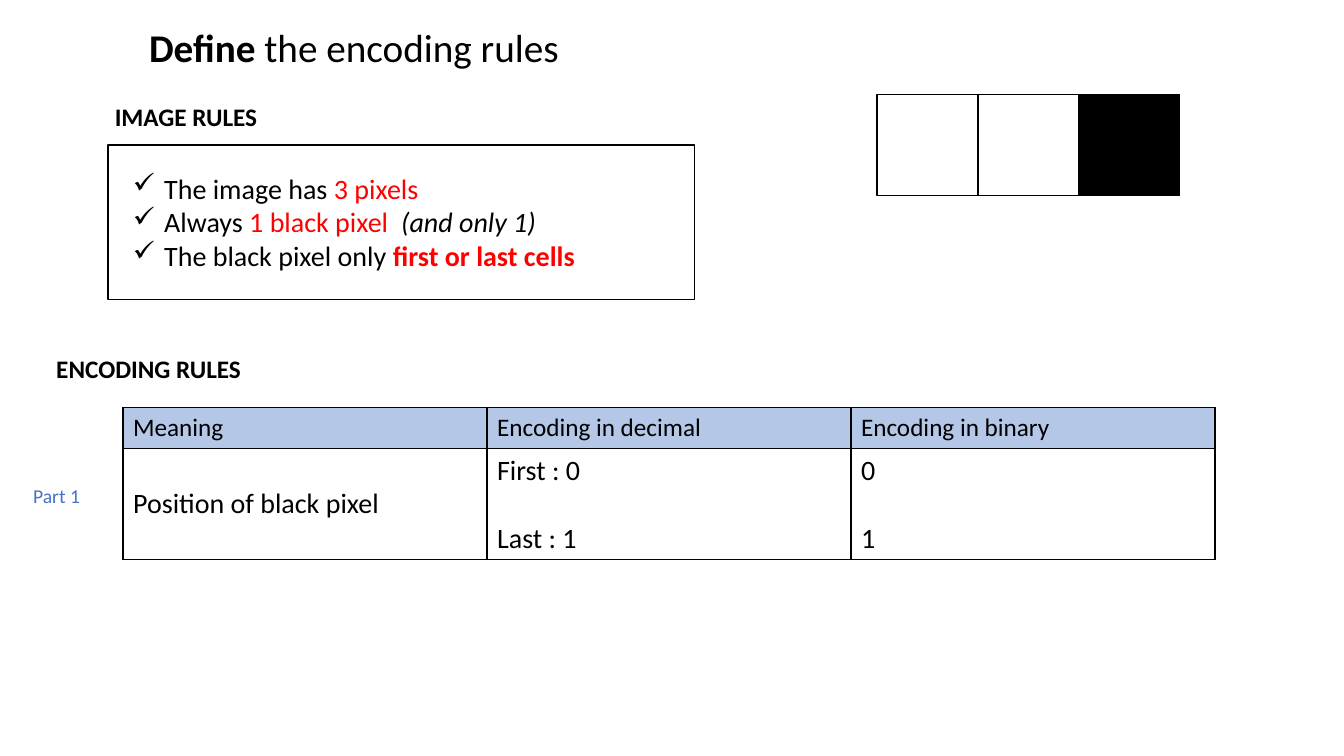
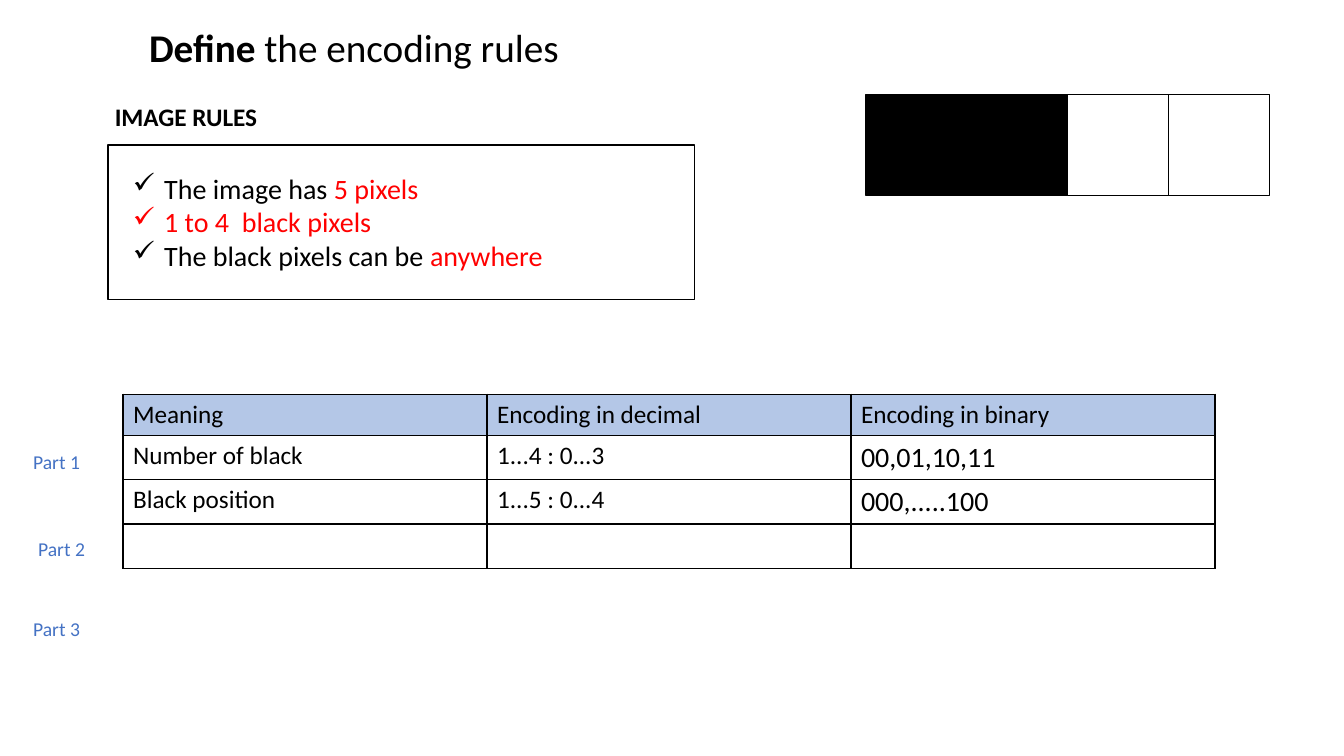
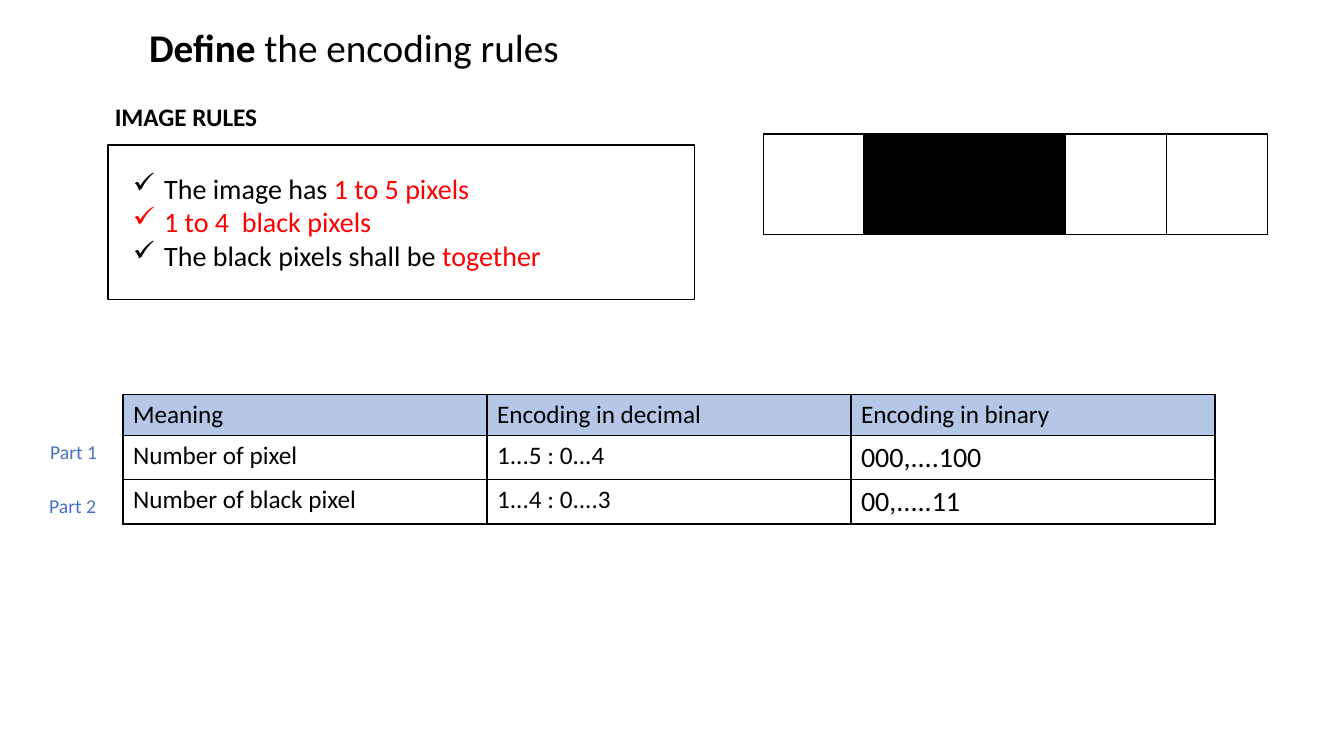
from lxml import etree
from pptx import Presentation
from pptx.dml.color import RGBColor
from pptx.enum import shapes, text
from pptx.oxml.ns import qn
from pptx.util import Inches, Pt


class Theme:
    font = "Calibri"
    black = RGBColor.from_string("000000")
    white = RGBColor.from_string("FFFFFF")
    red = RGBColor.from_string("FF0000")
    blue = RGBColor.from_string("4472C4")
    header_fill = RGBColor.from_string("B4C7E7")
    title_size = 28
    rule_size = 20
    heading_size = 18
    label_size = 14
    line_width = Pt(1)


def write_text(frame, lines, size, color=Theme.black, bold=False, wrap=True, bullet=None, gap=0):
    """Fill a text frame; a line is a string or a list of (text, format) runs."""
    frame.word_wrap = wrap
    for index, line in enumerate(lines):
        paragraph = frame.add_paragraph() if index else frame.paragraphs[0]
        paragraph.space_before = Pt(gap if index else 0)
        if bullet:
            properties = paragraph._p.get_or_add_pPr()
            properties.set("marL", str(Inches(0.31)))
            properties.set("indent", str(-Inches(0.31)))
            etree.SubElement(properties, qn("a:buChar"), char=bullet)
        for words, style in [(line, {})] if isinstance(line, str) else line:
            run = paragraph.add_run()
            run.text = words
            run.font.name = Theme.font
            run.font.size = Pt(size)
            run.font.bold = style.get("bold", bold)
            run.font.italic = style.get("italic", False)
            run.font.color.rgb = style.get("color", color)


def add_box(slide, left, top, width, height, fill=None):
    """Add an outlined rectangle, filled when a colour is given."""
    shape = slide.shapes.add_shape(shapes.MSO_SHAPE.RECTANGLE, Inches(left), Inches(top),
                                   Inches(width), Inches(height))
    shape.shadow.inherit = False
    shape.line.color.rgb = Theme.black
    shape.line.width = Theme.line_width
    if fill is None:
        shape.fill.background()
    else:
        shape.fill.solid()
        shape.fill.fore_color.rgb = fill


# Content of each slide; in "pixels", 1 is black and 0 is white
plain, red = {}, {"color": Theme.red}
header = ["Meaning", "Encoding in decimal", "Encoding in binary"]
pages = [
    {
        "rules": [
            [("The image has ", plain), ("3 pixels", red)],
            [("Always ", plain), ("1 black pixel  ", red), ("(and only 1)", {"italic": True})],
            [("The black pixel only ", plain),
             ("first or last cells", {"color": Theme.red, "bold": True})],
        ],
        "pixels": [0, 0, 1], "pixel_origin": (8.7, 0.94),
        "rows": [["Position of black pixel", "First : 0\nLast : 1", "0\n1"]],
        "table_top": 4.04, "row_height": 1.1, "cell_sizes": (20, 20, 20),
        "parts": [(0.23, 4.75)],
        "headings": [("IMAGE RULES", 1.04, 0.96, 1.63), ("ENCODING RULES", 0.46, 3.46, 2.06)],
    },
    {
        "rules": [
            [("The image has ", plain), ("5 pixels", red)],
            [("1 to 4  black pixels", red)],
            [("The black pixels can be ", plain), ("anywhere", red)],
        ],
        "pixels": [1, 1, 0, 0], "pixel_origin": (8.59, 0.94),
        "rows": [
            ["Number of black", "1...4 : 0...3", "00,01,10,11"],
            ["Black position", "1...5 : 0...4", "000,.....100"],
            ["", "", ""],
        ],
        "table_top": 3.91, "row_height": 0.44, "cell_sizes": (18, 18, 20),
        "parts": [(0.23, 4.41), (0.28, 5.28), (0.23, 6.07)],
        "headings": [("IMAGE RULES", 1.04, 0.96, 1.63)],
    },
    {
        "rules": [
            [("The image has ", plain), ("1 to 5 pixels", red)],
            [("1 to 4  black pixels", red)],
            [("The black pixels shall be ", plain), ("together", red)],
        ],
        "pixels": [0, 1, 1, 0, 0], "pixel_origin": (7.57, 1.33),
        "rows": [
            ["Number of pixel", "1...5 : 0...4", "000,....100"],
            ["Number of black pixel", "1...4 : 0....3", "00,.....11"],
        ],
        "table_top": 3.91, "row_height": 0.44, "cell_sizes": (18, 18, 20),
        "parts": [(0.4, 4.32), (0.39, 4.85)],
        "headings": [("IMAGE RULES", 1.04, 0.96, 1.63)],
    },
]

presentation = Presentation()
presentation.slide_width = Inches(13.33)
presentation.slide_height = Inches(7.5)

for page in pages:
    slide = presentation.slides.add_slide(presentation.slide_layouts[6])

    # Title
    title = slide.shapes.add_textbox(Inches(1.38), Inches(0.18), Inches(4.5), Inches(0.57))
    write_text(title.text_frame, [[("Define", {"bold": True}), (" the encoding rules", plain)]],
               size=Theme.title_size)

    # Section headings
    for words, left, top, width in page["headings"]:
        heading = slide.shapes.add_textbox(Inches(left), Inches(top), Inches(width), Inches(0.4))
        write_text(heading.text_frame, [words], size=Theme.heading_size, bold=True, wrap=False)

    # Framed list of image rules
    add_box(slide, 1.07, 1.44, 5.82, 1.53)
    rules = slide.shapes.add_textbox(Inches(1.22), Inches(1.65), Inches(4.6), Inches(1.11))
    write_text(rules.text_frame, page["rules"], size=Theme.rule_size, bullet="✓")

    # Row of one-inch pixels
    left, top = page["pixel_origin"]
    for index, is_black in enumerate(page["pixels"]):
        add_box(slide, left + index, top, 1, 1, fill=Theme.black if is_black else Theme.white)

    # Encoding table
    rows = [header] + page["rows"]
    heights = [0.41] + [page["row_height"]] * len(page["rows"])
    table = slide.shapes.add_table(len(rows), len(header), Inches(1.22), Inches(page["table_top"]),
                                   Inches(10.83), Inches(sum(heights))).table
    for column in table.columns:
        column.width = Inches(3.61)
    for row_index, row in enumerate(rows):
        table.rows[row_index].height = Inches(heights[row_index])
        for column_index, words in enumerate(row):
            cell = table.cell(row_index, column_index)
            if row_index == 0:
                size = Theme.heading_size
                cell.fill.solid()
                cell.fill.fore_color.rgb = Theme.header_fill
            else:
                size = page["cell_sizes"][column_index]
                cell.fill.background()
            cell.vertical_anchor = (text.MSO_ANCHOR.MIDDLE if words == "Position of black pixel"
                                    else text.MSO_ANCHOR.TOP)
            if words:
                write_text(cell.text_frame, words.split("\n"), size=size, gap=24)
            # Cell borders come before the fill
            properties = cell._tc.get_or_add_tcPr()
            for position, side in enumerate(("lnL", "lnR", "lnT", "lnB")):
                border = etree.Element(qn("a:" + side), w=str(Theme.line_width))
                border_fill = etree.SubElement(border, qn("a:solidFill"))
                etree.SubElement(border_fill, qn("a:srgbClr"), val=str(Theme.black))
                properties.insert(position, border)

    # Part labels beside the table
    for number, (left, top) in enumerate(page["parts"], start=1):
        label = slide.shapes.add_textbox(Inches(left), Inches(top), Inches(0.67), Inches(0.34))
        write_text(label.text_frame, [f"Part {number}"], size=Theme.label_size,
                   color=Theme.blue, wrap=False)

presentation.save("out.pptx")
